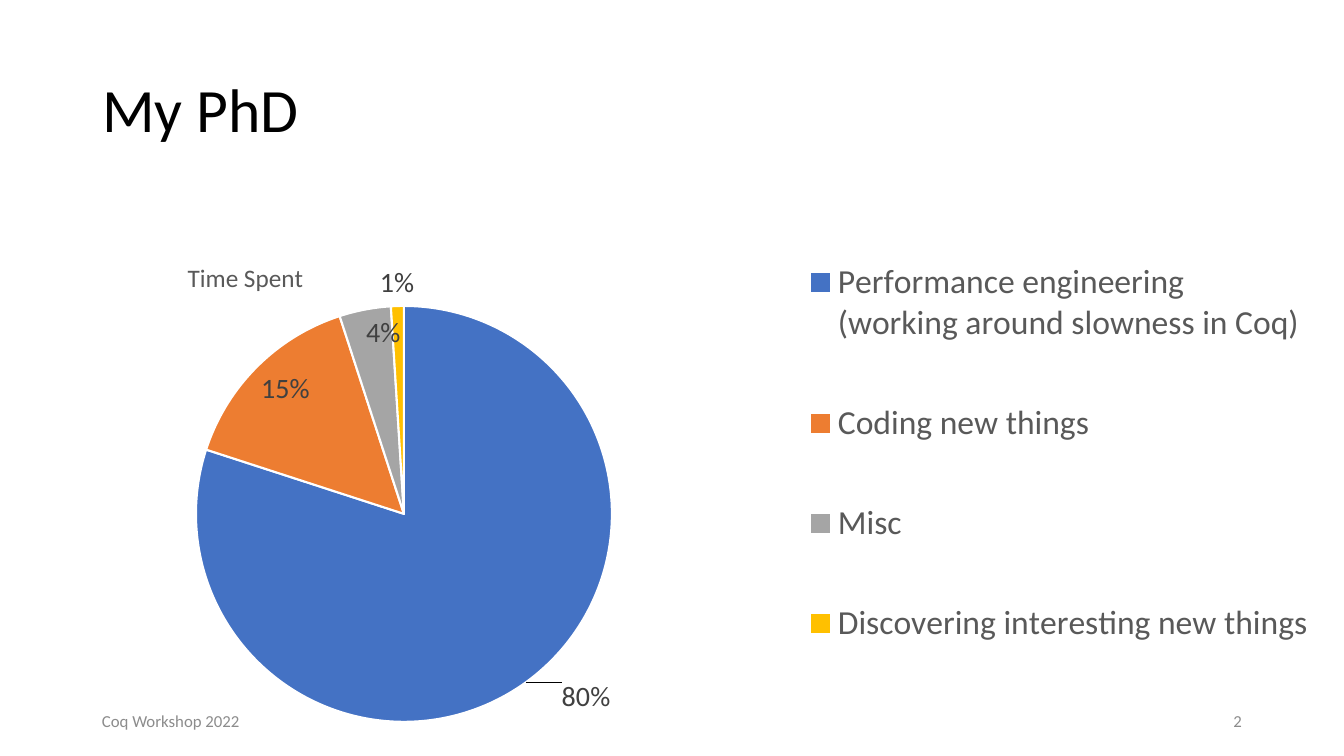
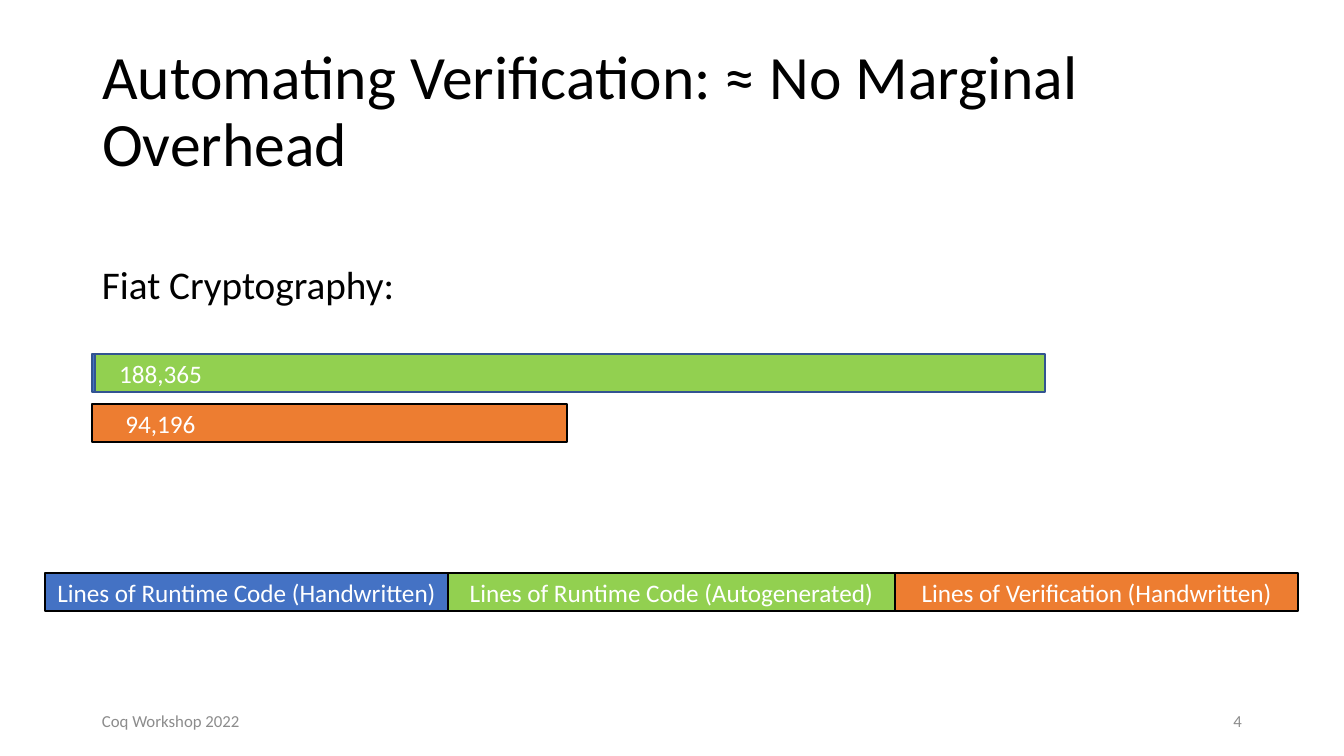
from dataclasses import dataclass
from pptx import Presentation
from pptx import util as u
from pptx.chart import data as chart_data
from pptx.dml.color import RGBColor
from pptx.enum import chart as ch, shapes, text
from pptx.oxml import parse_xml
from pptx.oxml.ns import nsdecls, qn


@dataclass(frozen=True)
class Theme:
    font: str = "Calibri"
    black: str = "000000"
    white: str = "FFFFFF"
    footer: str = "8C8C8C"
    label: str = "404040"
    caption: str = "595959"
    blue: str = "4472C4"
    orange: str = "ED7D31"
    gray: str = "A5A5A5"
    yellow: str = "FFC000"
    green: str = "92D050"
    bar_line: str = "325491"
    title_pt: int = 44
    body_pt: int = 28
    legend_pt: int = 24
    label_pt: int = 20
    bar_pt: int = 18
    footer_pt: int = 12


T = Theme()
SLIDE_W, SLIDE_H = 1344, 756
EMU_PER_PX = u.Inches(1) / 100.8
LEFT, CENTER, RIGHT = text.PP_ALIGN.LEFT, text.PP_ALIGN.CENTER, text.PP_ALIGN.RIGHT
MIDDLE, TOP = text.MSO_ANCHOR.MIDDLE, text.MSO_ANCHOR.TOP


def px(n):
    return u.Emu(round(n * EMU_PER_PX))


def style_font(font, size, color):
    font.name = T.font
    font.size = u.Pt(size)
    font.bold = False
    font.color.rgb = RGBColor.from_string(color)


def write(tf, words, size, color, align=LEFT, anchor=MIDDLE, spacing=None):
    tf.word_wrap = True
    tf.auto_size = text.MSO_AUTO_SIZE.NONE
    tf.vertical_anchor = anchor
    p = tf.paragraphs[0]
    p.alignment = align
    if spacing:
        p.line_spacing = spacing
    r = p.add_run()
    r.text = words
    style_font(r.font, size, color)


def add_text(s, box, words, size, color, **layout):
    tb = s.shapes.add_textbox(*map(px, box))
    write(tb.text_frame, words, size, color, **layout)


def add_bar(s, box, fill, line, words=None):
    sp = s.shapes.add_shape(shapes.MSO_SHAPE.RECTANGLE, *map(px, box))
    sp.shadow.inherit = False
    sp.fill.solid()
    sp.fill.fore_color.rgb = RGBColor.from_string(fill)
    sp.line.color.rgb = RGBColor.from_string(line)
    sp.line.width = u.Pt(1)
    if words:
        write(sp.text_frame, words, T.bar_pt, T.white, align=CENTER)


def new_slide(prs, title, number, title_w=1159):
    s = prs.slides.add_slide(prs.slide_layouts[5])
    sp = s.shapes.title
    sp.left, sp.top, sp.width, sp.height = map(px, (92, 40, title_w, 146))
    write(sp.text_frame, title, T.title_pt, T.black, spacing=0.9)
    add_text(s, (92, 701, 302, 40), "Coq Workshop 2022", T.footer_pt, T.footer)
    add_text(s, (950, 701, 302, 40), number, T.footer_pt, T.footer, align=RIGHT)
    return s


def chart_layout(box, x, y, w=None, h=None, inner=False, edge=True):
    _, _, bw, bh = box
    parts = [("layoutTarget", "inner")] if inner else []
    if edge:
        parts += [("xMode", "edge"), ("yMode", "edge")]
    parts += [("x", round(x / bw, 4)), ("y", round(y / bh, 4))]
    if w:
        parts += [("w", round(w / bw, 4)), ("h", round(h / bh, 4))]
    body = "".join(f'<c:{tag} val="{val}"/>' for tag, val in parts)
    return parse_xml(f'<c:layout {nsdecls("c")}><c:manualLayout>{body}'
                     "</c:manualLayout></c:layout>")


def set_layout(parent, layout, after):
    for old in parent.findall(qn("c:layout")):
        parent.remove(old)
    anchor = parent.find(qn(after)) if after else None
    if anchor is None:
        parent.insert(0, layout)
    else:
        anchor.addnext(layout)


def style_slices(series, slices):
    for i, (_, _, color, position) in enumerate(slices):
        point = series.points[i]
        point.format.fill.solid()
        point.format.fill.fore_color.rgb = RGBColor.from_string(color)
        point.format.line.color.rgb = RGBColor.from_string(T.white)
        point.format.line.width = u.Pt(1.5)
        label = point.data_label
        style_font(label.font, T.label_pt, T.label)
        label.position = position
    for dlbl in series.data_labels._element.findall(qn("c:dLbl")):
        dlbl.find(qn("c:showVal")).set("val", "0")
        dlbl.find(qn("c:showPercent")).set("val", "1")


def add_time_pie(s, box):
    inside = ch.XL_LABEL_POSITION.INSIDE_END
    outside = ch.XL_LABEL_POSITION.OUTSIDE_END
    slices = [
        ("Performance engineering\n(working around slowness in Coq)", 80, T.blue, outside),
        ("Coding new things", 15, T.orange, inside),
        ("Misc", 4, T.gray, inside),
        ("Discovering interesting new things", 1, T.yellow, outside),
    ]
    cd = chart_data.CategoryChartData()
    cd.categories = [name for name, *_ in slices]
    cd.add_series("Series 1", [share for _, share, *_ in slices])
    chart = s.shapes.add_chart(ch.XL_CHART_TYPE.PIE, *map(px, box), cd).chart
    style_font(chart.font, 10, T.black)
    plot = chart.plots[0]
    plot.vary_by_categories = True

    chart.has_title = True
    r = chart.chart_title.text_frame.paragraphs[0].add_run()
    r.text = "Time Spent"
    style_font(r.font, T.bar_pt, T.caption)
    chart.chart_title.include_in_layout = False
    set_layout(chart.chart_title._element, chart_layout(box, 183, 70), "c:tx")

    chart.has_legend = True
    chart.legend.position = ch.XL_LEGEND_POSITION.RIGHT
    chart.legend.include_in_layout = False
    style_font(chart.legend.font, T.legend_pt, T.caption)
    set_layout(chart.legend._element, chart_layout(box, 803, 17, 512, 500), "c:legendPos")

    series = plot.series[0]
    labels = series.data_labels
    labels.show_percentage = True
    labels.show_value = False
    style_font(labels.font, T.label_pt, T.label)
    style_slices(series, slices)
    set_layout(labels._element.find(qn("c:dLbl")),
               chart_layout(box, 32, -8, edge=False), "c:idx")
    plot_area = chart._chartSpace.chart.plotArea
    set_layout(plot_area, chart_layout(box, 196, 120, 416, 416, inner=True), None)


def add_line_counts(s, box):
    x, y, _, h = box
    lines_per_px = 198.3
    sliver, row_step = 3, 50
    generated, verified = 188365, 94196
    add_bar(s, (x, y, sliver, h), T.blue, T.bar_line)
    add_bar(s, (x, y + row_step, round(verified / lines_per_px), h), T.orange, T.black)
    add_bar(s, (x + sliver, y, round(generated / lines_per_px), h), T.green, T.bar_line)
    for row, count in enumerate((generated, verified)):
        add_text(s, (x + sliver, y + row * row_step, 131, h), f"{count:,}",
                 T.bar_pt, T.white, align=CENTER)


def add_color_key(s, box):
    x, y, w, h = box
    side = 403
    entries = [
        ("Lines of Runtime Code (Handwritten)", T.blue, side),
        ("Lines of Runtime Code (Autogenerated)", T.green, w - 2 * side),
        ("Lines of Verification (Handwritten)", T.orange, side),
    ]
    for words, fill, width in entries:
        add_bar(s, (x, y, width, h), fill, T.black, words)
        x += width


def phd_slide(prs):
    s = new_slide(prs, "My PhD", "2")
    add_time_pie(s, (0, 186, SLIDE_W, 570))


def verification_slide(prs):
    s = new_slide(prs, "Automating Verification: ≈ No Marginal Overhead", "4", 1252)
    add_text(s, (92, 261, 1159, 60), "Fiat Cryptography:", T.body_pt, T.black,
             anchor=TOP, spacing=0.9)
    add_line_counts(s, (92, 354, 953, 38))
    add_color_key(s, (45, 573, 1253, 38))


def main():
    prs = Presentation()
    prs.slide_width, prs.slide_height = px(SLIDE_W), px(SLIDE_H)
    phd_slide(prs)
    verification_slide(prs)
    prs.save("out.pptx")


if __name__ == "__main__":
    main()
